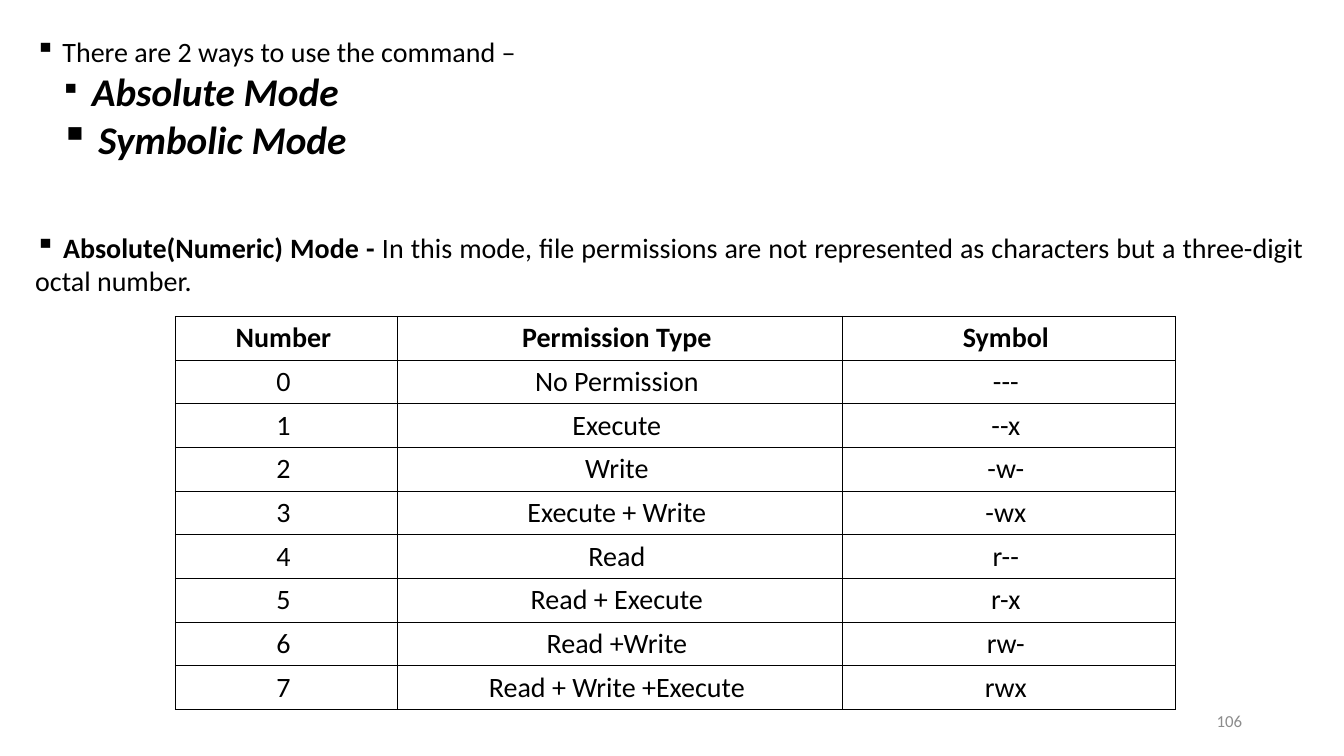
from dataclasses import dataclass

from lxml.etree import SubElement
from pptx import Presentation
from pptx.dml.color import RGBColor
from pptx.enum.text import MSO_ANCHOR, PP_ALIGN
from pptx.oxml.ns import qn
from pptx.util import Inches, Pt


@dataclass(frozen=True)
class Theme:
    """Colours, font and type sizes of the slide."""
    font: str = "Calibri"
    ink: str = "000000"
    muted: str = "8C8C8C"
    body: int = 20
    mode: int = 28
    footer: int = 12
    border: int = 1


@dataclass(frozen=True)
class Box:
    """A rectangle given in percent of the slide's width and height."""
    left: float
    top: float
    width: float
    height: float

    def on(self, deck):
        """Return the rectangle in slide units."""
        across, down = deck.slide_width / 100, deck.slide_height / 100
        return [round(length) for length in (self.left * across, self.top * down,
                                             self.width * across, self.height * down)]


THEME = Theme()
MODES = ["Absolute Mode", "Symbolic Mode"]
PERMISSIONS = [
    ("Number", "Permission Type", "Symbol"),
    ("0", "No Permission", "---"),
    ("1", "Execute", "--x"),
    ("2", "Write", "-w-"),
    ("3", "Execute + Write", "-wx"),
    ("4", "Read", "r--"),
    ("5", "Read + Execute", "r-x"),
    ("6", "Read +Write", "rw-"),
    ("7", "Read + Write +Execute", "rwx"),
]
COLUMN_SHARES = (2, 4, 3)


def style(span, size=THEME.body, color=THEME.ink, bold=False, italic=False):
    """Format one run."""
    font = span.font
    font.name, font.size, font.bold, font.italic = THEME.font, Pt(size), bold, italic
    font.color.rgb = RGBColor.from_string(color)


def add_span(para, text, **look):
    """Append a formatted run to a paragraph."""
    span = para.add_run()
    span.text = text
    style(span, **look)


def add_bullet(para, margin=0, indent=0):
    """Give a paragraph a small square bullet."""
    properties = para._p.get_or_add_pPr()
    properties.set("marL", str(Inches(margin)))
    properties.set("indent", str(Inches(indent)))
    SubElement(properties, qn("a:buChar"), char="▪")


def add_border(cell):
    """Draw a thin line on every side of a table cell."""
    properties = cell._tc.get_or_add_tcPr()
    for position, side in enumerate(("a:lnL", "a:lnR", "a:lnT", "a:lnB")):
        line = SubElement(properties, qn(side), w=str(Pt(THEME.border)))
        fill = SubElement(line, qn("a:solidFill"))
        SubElement(fill, qn("a:srgbClr"), val=THEME.ink)
        properties.insert(position, line)


def add_modes(deck, page, box):
    """Write the list of modes and the definition of the absolute mode."""
    frame = page.shapes.add_textbox(*box.on(deck)).text_frame
    frame.word_wrap = True
    intro = frame.paragraphs[0]
    add_bullet(intro)
    add_span(intro, " There are 2 ways to use the command –")
    for mode, gap_size in zip(MODES, (THEME.body, THEME.mode)):
        para = frame.add_paragraph()
        para.level = 1
        add_bullet(para, margin=0.5, indent=-0.25)
        add_span(para, " ", size=gap_size, bold=True, italic=True)
        add_span(para, mode, size=THEME.mode, bold=True, italic=True)
    definition = frame.add_paragraph()
    add_bullet(definition)
    definition.alignment = PP_ALIGN.JUSTIFY
    definition.space_before = Pt(2.44 * THEME.body)
    add_span(definition, " Absolute(Numeric) Mode - ", bold=True)
    add_span(definition, "In this mode, file permissions are not represented "
                         "as characters but a three-digit octal number.")


def add_permissions(deck, page, box):
    """Place the table of permission numbers."""
    left, top, width, height = box.on(deck)
    table = page.shapes.add_table(len(PERMISSIONS), len(COLUMN_SHARES),
                                  left, top, width, height).table
    table.first_row = table.horz_banding = False
    for column, share in zip(table.columns, COLUMN_SHARES):
        column.width = round(width * share / sum(COLUMN_SHARES))
    for row_index, values in enumerate(PERMISSIONS):
        table.rows[row_index].height = round(height / len(PERMISSIONS))
        for column_index, value in enumerate(values):
            cell = table.cell(row_index, column_index)
            cell.fill.background()
            add_border(cell)
            cell.vertical_anchor = MSO_ANCHOR.MIDDLE
            cell.margin_top = cell.margin_bottom = Inches(0.04)
            cell.margin_right = Inches(0.16)
            para = cell.text_frame.paragraphs[0]
            para.alignment = PP_ALIGN.CENTER
            add_span(para, value, bold=row_index == 0)


def add_page_number(deck, page, box):
    """Write the page number at the foot of the slide."""
    frame = page.shapes.add_textbox(*box.on(deck)).text_frame
    frame.word_wrap = True
    frame.vertical_anchor = MSO_ANCHOR.MIDDLE
    para = frame.paragraphs[0]
    para.alignment = PP_ALIGN.RIGHT
    add_span(para, "106", size=THEME.footer, color=THEME.muted)


def main():
    """Build and save the deck."""
    deck = Presentation()
    deck.slide_width, deck.slide_height = Inches(13.33), Inches(7.5)
    page = deck.slides.add_slide(deck.slide_layouts.get_by_name("Blank"))
    add_page_number(deck, page, Box(70.67, 92.67, 22.5, 5.33))
    add_modes(deck, page, Box(1.88, 3.87, 95.87, 36.4))
    add_permissions(deck, page, Box(13.05, 41.87, 74.42, 52))
    deck.save("out.pptx")


if __name__ == "__main__":
    main()
